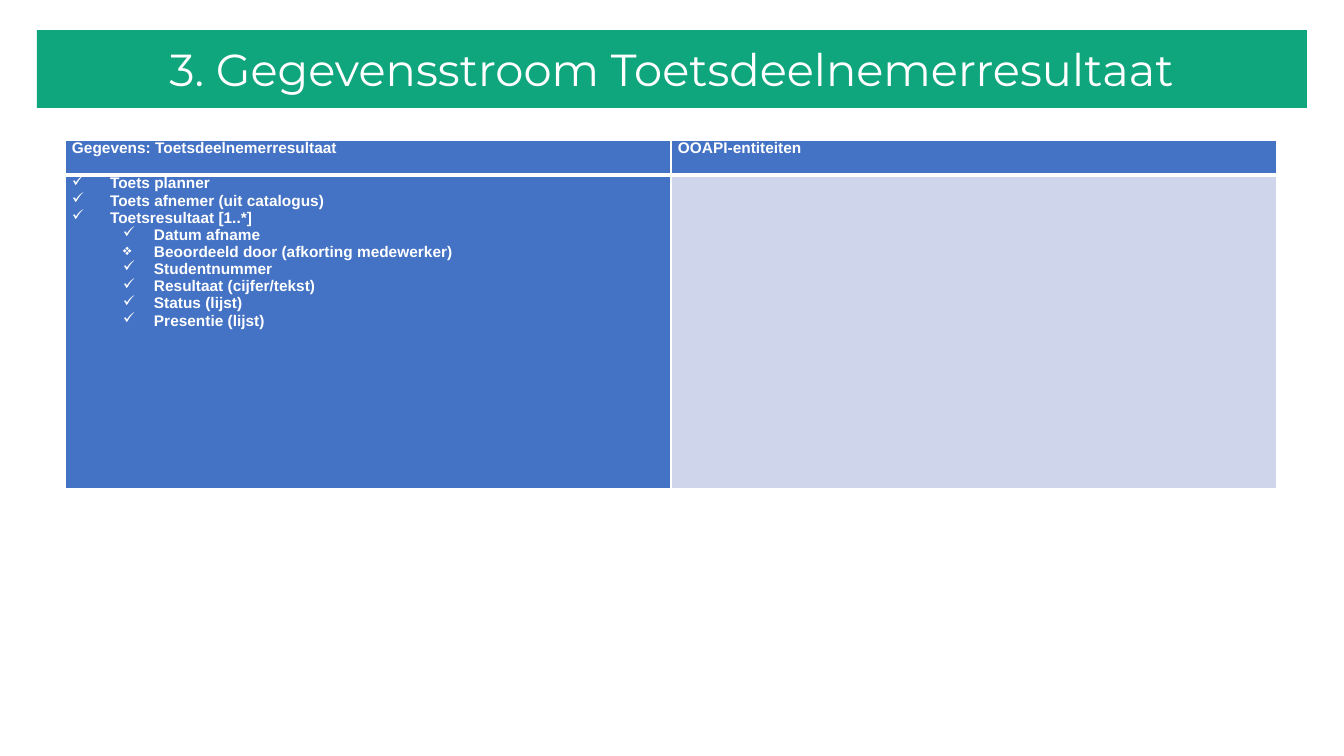
import pptx
import pptx.dml.color
import pptx.enum.text
import pptx.oxml
import pptx.oxml.ns
import pptx.util

SLIDE_WIDTH, SLIDE_HEIGHT = 1344, 756
EMU_PER_PX = 12192000 / SLIDE_WIDTH

GREEN, BLUE, PALE_BLUE, WHITE = "0FA67E", "4472C4", "CFD5EA", "FFFFFF"

HEADINGS = ["Gegevens: Toetsdeelnemerresultaat", "OOAPI-entiteiten"]
# (level, bullet, text)
DATA_ITEMS = [
    (0, "✓", "Toets planner"),
    (0, "✓", "Toets afnemer (uit catalogus)"),
    (0, "✓", "Toetsresultaat [1..*]"),
    (1, "✓", "Datum afname"),
    (1, "❖", "Beoordeeld door (afkorting medewerker)"),
    (1, "✓", "Studentnummer"),
    (1, "✓", "Resultaat (cijfer/tekst)"),
    (1, "✓", "Status (lijst)"),
    (1, "✓", "Presentie (lijst)"),
]
# Left margin and hanging indent for each level
INDENTS = [(38, -38), (82, -31)]


def px(length):
    return pptx.util.Emu(round(length * EMU_PER_PX))


def rgb(value):
    return pptx.dml.color.RGBColor.from_string(value)


def paint(target, color):
    target.fill.solid()
    target.fill.fore_color.rgb = rgb(color)


def add_run(paragraph, text, font, size, bold=False):
    run = paragraph.add_run()
    run.text = text
    run.font.name = font
    run.font.size = pptx.util.Pt(size)
    run.font.bold = bold
    run.font.color.rgb = rgb(WHITE)


def add_title(slide, text):
    title = slide.shapes.title
    title.left, title.top, title.width, title.height = px(37), px(30), px(1270), px(78)
    paint(title, GREEN)
    frame = title.text_frame
    frame.word_wrap = True
    frame.auto_size = pptx.enum.text.MSO_AUTO_SIZE.NONE
    frame.vertical_anchor = pptx.enum.text.MSO_ANCHOR.MIDDLE
    frame.margin_left = frame.margin_right = px(10)
    frame.margin_top = frame.margin_bottom = px(10)
    paragraph = frame.paragraphs[0]
    paragraph.alignment = pptx.enum.text.PP_ALIGN.CENTER
    paragraph.line_spacing = 1.0
    add_run(paragraph, text, "Montserrat", 32)


def set_borders(cell, **widths):
    """Draw white cell borders; widths maps L, R, T and B to points."""
    properties = cell._tc.get_or_add_tcPr()
    for position, side in enumerate("LRTB"):
        width = pptx.util.Pt(widths.get(side, 1))
        line = pptx.oxml.parse_xml(
            f'<a:ln{side} {pptx.oxml.ns.nsdecls("a")} w="{width}">'
            f'<a:solidFill><a:srgbClr val="{WHITE}"/></a:solidFill></a:ln{side}>'
        )
        properties.insert(position, line)


def set_bullet(paragraph, level, bullet):
    paragraph.level = level
    margin, indent = INDENTS[level]
    properties = paragraph._p.get_or_add_pPr()
    properties.set("marL", str(px(margin)))
    properties.set("indent", str(px(indent)))
    properties.append(pptx.oxml.parse_xml(
        f'<a:buChar {pptx.oxml.ns.nsdecls("a")} char="{bullet}"/>'
    ))


def format_cell(cell, color, **widths):
    paint(cell, color)
    set_borders(cell, **widths)
    cell.margin_left = cell.margin_right = px(7)
    cell.margin_top = cell.margin_bottom = 0


def fill_list(cell, items):
    frame = cell.text_frame
    for number, (level, bullet, text) in enumerate(items):
        paragraph = frame.add_paragraph() if number else frame.paragraphs[0]
        set_bullet(paragraph, level, bullet)
        add_run(paragraph, text, "Arial", 11, bold=True)


def add_data_table(slide):
    table = slide.shapes.add_table(2, 2, px(65), px(140), px(1212), px(349)).table
    for row, height in zip(table.rows, (35, 314)):
        row.height = px(height)
    for column, heading in enumerate(HEADINGS):
        cell = table.cell(0, column)
        format_cell(cell, BLUE, B=3)
        add_run(cell.text_frame.paragraphs[0], heading, "Arial", 11, bold=True)
    for column, color in enumerate((BLUE, PALE_BLUE)):
        format_cell(table.cell(1, column), color, T=3)
    fill_list(table.cell(1, 0), DATA_ITEMS)


def main():
    deck = pptx.Presentation()
    deck.slide_width, deck.slide_height = px(SLIDE_WIDTH), px(SLIDE_HEIGHT)
    slide = deck.slides.add_slide(deck.slide_layouts[5])
    add_title(slide, "3. Gegevensstroom Toetsdeelnemerresultaat")
    add_data_table(slide)
    deck.save("out.pptx")


if __name__ == "__main__":
    main()
